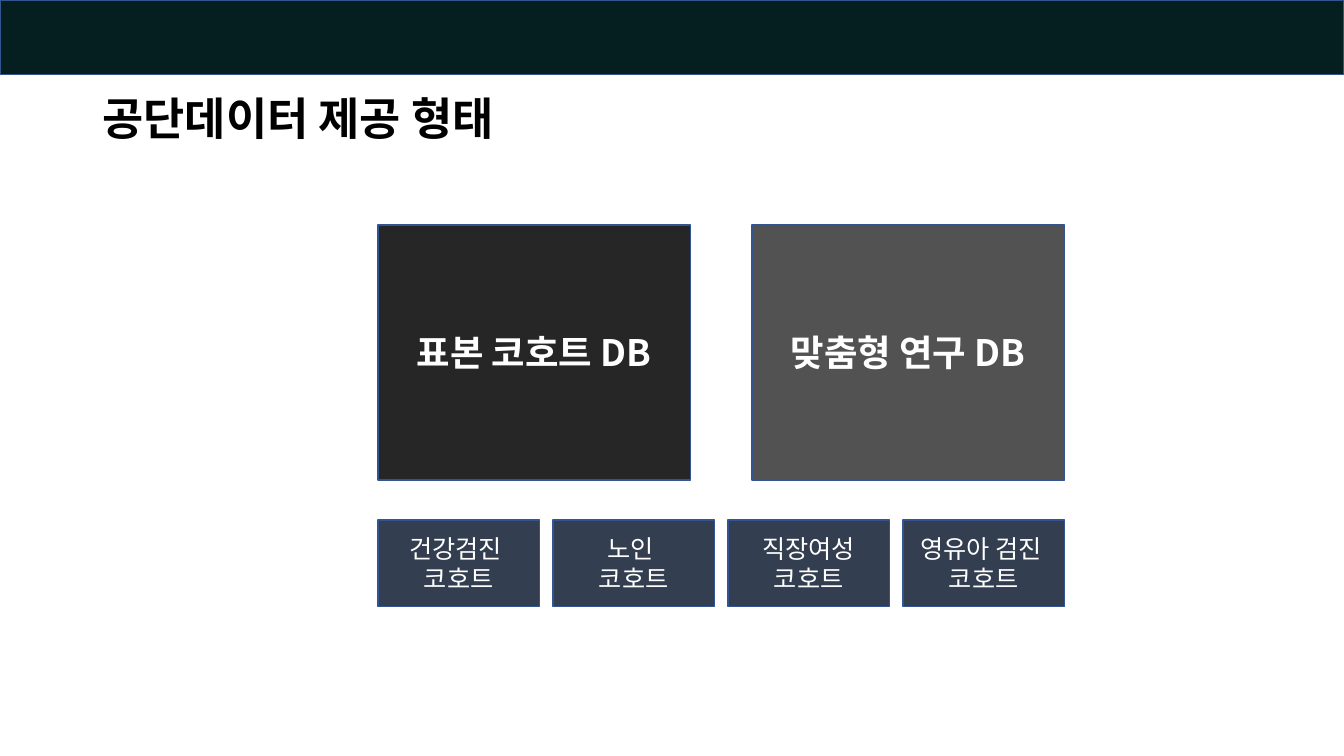
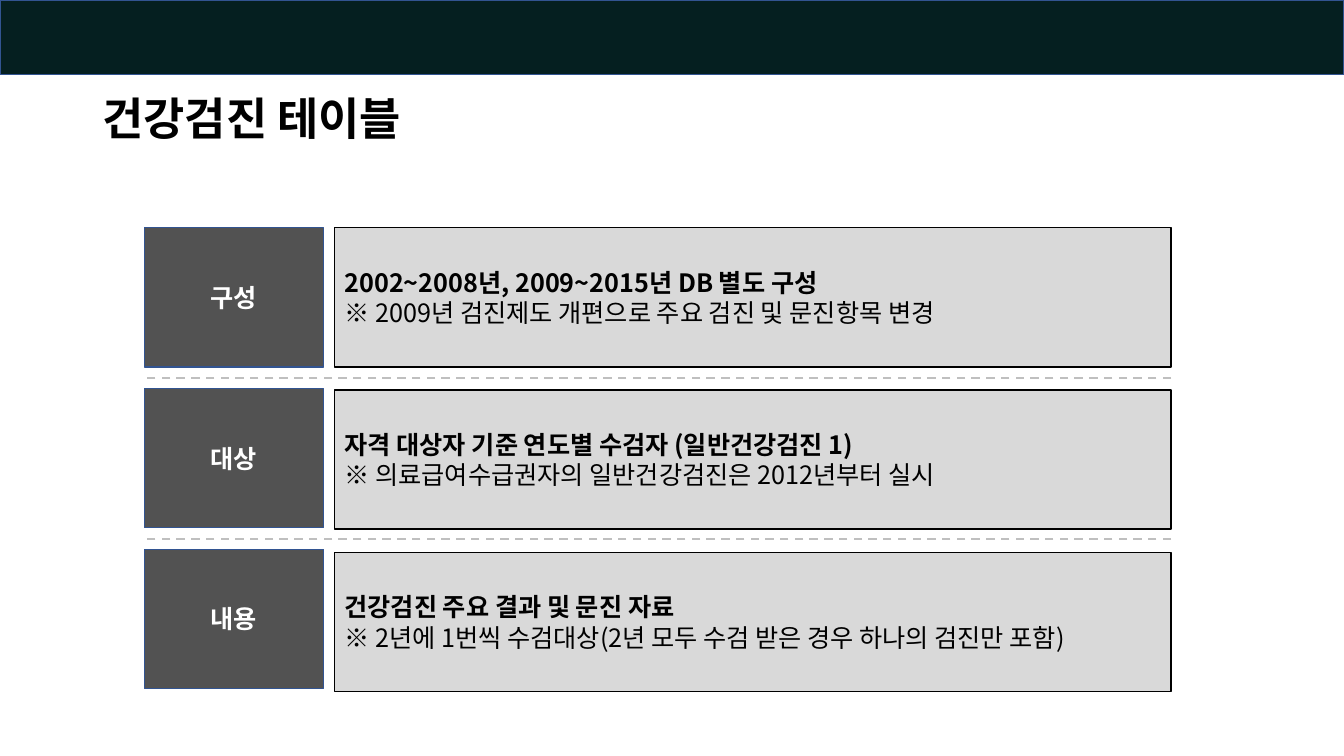
from lxml.etree import SubElement as Sub
from pptx import Presentation
from pptx.dml.color import RGBColor
from pptx.enum.dml import MSO_LINE
from pptx.enum.shapes import MSO_CONNECTOR as Conn, MSO_SHAPE as Kind
from pptx.enum.text import MSO_ANCHOR as Anchor, PP_ALIGN as Align
from pptx.oxml.ns import qn
from pptx.util import Pt

FACE = "Noto Sans CJK KR"
WIDE, HIGH = 960, 540
EDGE, NAVY, GRAY, COAL, PALE = "325491", "333F50", "525252", "262626", "D9D9D9"
BLACK, WHITE, RULE, BAND = "000000", "FFFFFF", "BFBFBF", "051F20"
TITLE = dict(left=66, top=64.8, width=828, height=43.9)
CARDS = [("표본 코호트 DB", COAL), ("맞춤형 연구 DB", GRAY)]
TILES = [
    ["건강검진 ", "코호트"],
    ["노인 ", "코호트"],
    ["직장여성", "코호트"],
    ["영유아 검진 ", "코호트"],
]
ROWS = [
    ("구성", ["2002~2008년, 2009~2015년 DB 별도 구성",
            "※ 2009년 검진제도 개편으로 주요 검진 및 문진항목 변경"]),
    ("대상", ["자격 대상자 기준 연도별 수검자 (일반건강검진 1)",
            "※ 의료급여수급권자의 일반건강검진은 2012년부터 실시"]),
    ("내용", ["건강검진 주요 결과 및 문진 자료",
            "※ 2년에 1번씩 수검대상(2년 모두 수검 받은 경우 하나의 검진만 포함)"]),
]


def paint(part, tone):
    """Give a fill, line or font colour part a hex colour."""
    part.rgb = RGBColor.from_string(tone)


def style(item, **form):
    """Set each attribute of an item from the format values."""
    for key, val in form.items():
        setattr(item, key, val)


def write(shape, lines, size, tone, bolds, align=Align.LEFT, space=None):
    """Write one paragraph per line, with a bold flag for each."""
    frame = shape.text_frame
    style(frame, word_wrap=True, vertical_anchor=Anchor.MIDDLE)
    frame.text = "\n".join(lines)
    for para, bold in zip(frame.paragraphs, bolds):
        style(para, alignment=align, line_spacing=space)
        for run in para.runs:
            style(run.font, name=FACE, size=Pt(size), bold=bold)
            paint(run.font.color, tone)
    for props in shape.element.iter(qn("a:rPr")):
        Sub(props, qn("a:ea"), typeface=FACE)


def block(slide, box, fill, edge=EDGE):
    """Add a flat rectangle with a thin edge."""
    shape = slide.shapes.add_shape(Kind.RECTANGLE, *map(Pt, box))
    shape.shadow.inherit = False
    shape.fill.solid()
    paint(shape.fill.fore_color, fill)
    paint(shape.line.color, edge)
    shape.line.width = Pt(1)
    return shape


def label(slide, box, fill, lines, size, bold):
    """Add a rectangle with white centred text."""
    shape = block(slide, box, fill)
    write(shape, lines, size, WHITE, [bold] * len(lines), Align.CENTER)


def dash(slide, left, right, y):
    """Add a dashed rule drawn from right to left."""
    line = slide.shapes.add_connector(
        Conn.STRAIGHT, Pt(right), Pt(y), Pt(left), Pt(y))
    style(line.line, width=Pt(1.5), dash_style=MSO_LINE.DASH)
    paint(line.line.color, RULE)
    Sub(line.element.spPr, qn("a:effectLst"))


def spread(box, count, width):
    """Yield equal boxes that fill a row with equal gaps."""
    left, top, full, height = box
    step = (full - width) / (count - 1)
    for i in range(count):
        yield left + i * step, top, width, height


def set_up(layout, slide):
    """Put the band and the title place on the shared layout."""
    band = block(slide, (0, 0, WIDE, 53.3), BAND)
    band.element.nvSpPr.cNvPr.set("id", "99")
    layout.shapes.element.insert(2, band.element)
    spot = layout.placeholders[0]
    style(spot, **{key: Pt(val) for key, val in TITLE.items()})


def head(slide, text):
    """Fill the title placeholder."""
    write(slide.shapes.title, [text], 32, BLACK, [True], space=0.9)


def forms(slide, box):
    """Place two large cards above a row of four tiles."""
    left, top, width, height = box
    tall, low = 182.2, 61.9
    places = spread((left, top, width, tall), len(CARDS), 223.2)
    for place, (text, fill) in zip(places, CARDS):
        label(slide, place, fill, [text], 26, True)
    row = left, top + height - low, width, low
    for place, lines in zip(spread(row, len(TILES), 115.2), TILES):
        label(slide, place, NAVY, lines, 18, False)


def facts(slide, box):
    """Place labelled rows with dashed rules between them."""
    left, top, width, tall = box
    side, inset = 128.2, 136
    for i, (name, lines) in enumerate(ROWS):
        place = left, top + i * 114.8, side, tall
        label(slide, place, GRAY, [name], 18, True)
        place = left + inset, top + i * 115.9, width - inset, tall
        note = block(slide, place, PALE, BLACK)
        write(note, lines, 18, BLACK, [True, False])
        if i:
            y = top + i * 115.2 - 7.9
            dash(slide, left + 2.1, left + width, y)


def main():
    """Build and save the deck."""
    deck = Presentation()
    style(deck, slide_width=Pt(WIDE), slide_height=Pt(HIGH))
    layout = deck.slide_layouts[5]
    first, second = [deck.slides.add_slide(layout) for _ in range(2)]
    set_up(layout, first)
    head(first, "공단데이터 제공 형태")
    forms(first, (270, 160.6, 490.3, 272.8))
    head(second, "건강검진 테이블")
    facts(second, (103, 162.7, 733.6, 99.4))
    deck.save("out.pptx")


if __name__ == "__main__":
    main()
